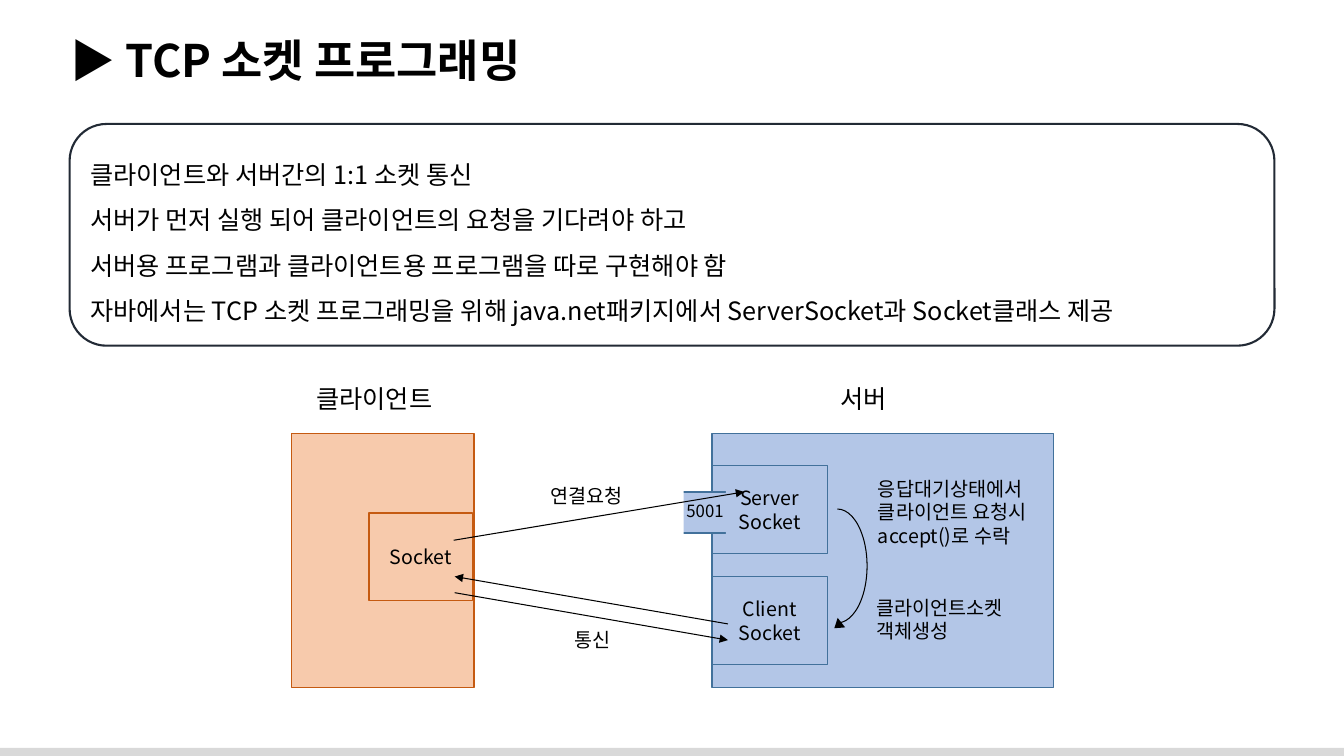
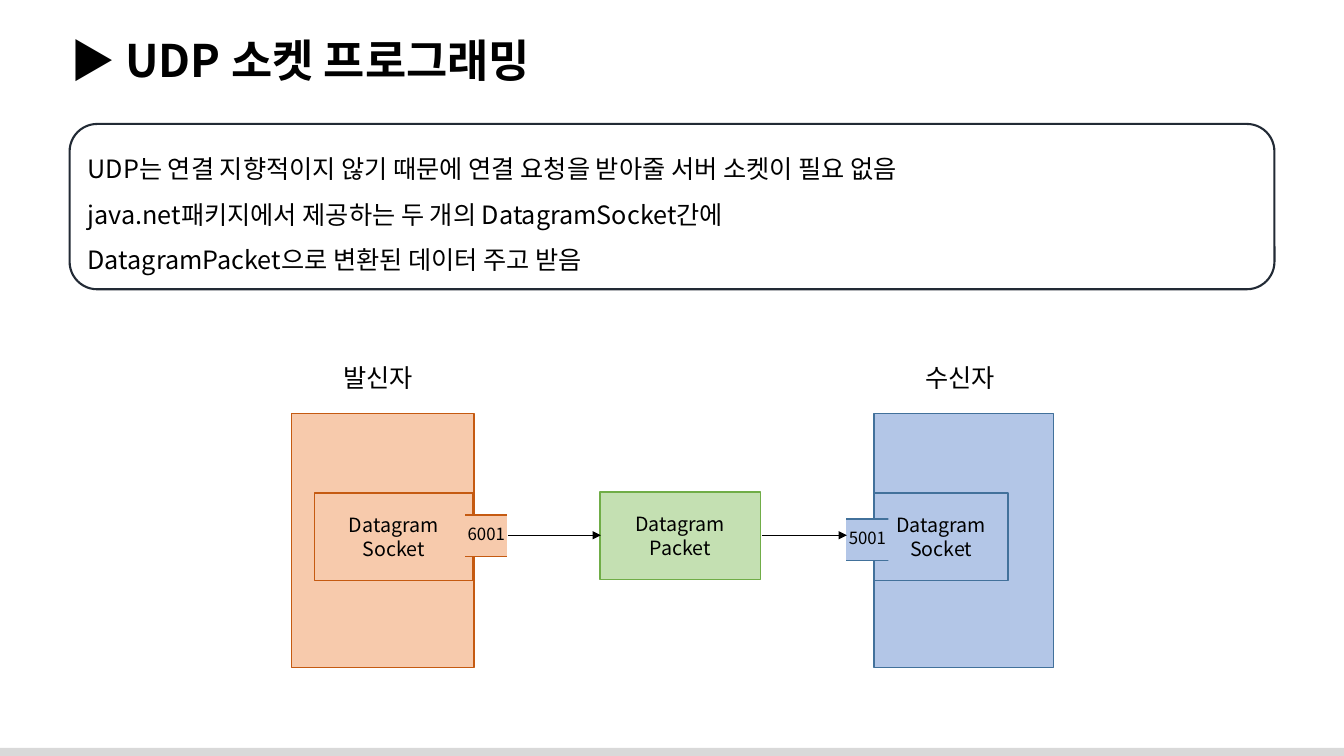
from lxml.etree import SubElement
from pptx import Presentation
from pptx.dml.color import RGBColor
from pptx.enum.shapes import MSO_CONNECTOR, MSO_SHAPE
from pptx.enum.text import MSO_ANCHOR, MSO_AUTO_SIZE, PP_ALIGN
from pptx.oxml.ns import qn
from pptx.util import Inches, Pt

FONT = "Noto Sans CJK KR"
BLACK, WHITE, GREY, NAVY = "000000", "FFFFFF", "D9D9D9", "222A35"
# Each theme is a fill and its outline
ORANGE = ("F7CAAC", "C55A11")
BLUE = ("B3C6E7", "42719B")
GREEN = ("C4E0B2", "70AD47")


def rgb(value):
    """Turn a hex string into a colour."""
    return RGBColor.from_string(value)


class Deck:
    """Shared style and the slide being drawn."""

    def __init__(self):
        """Start an empty widescreen presentation."""
        self.prs = Presentation()
        self.prs.slide_width = Inches(13.33)
        self.prs.slide_height = Inches(7.5)
        self.layout = self.prs.slide_layouts[6]
        self.s = None

    def slide(self, title):
        """Add a slide with its title; the first one sets up the layout."""
        first = self.s is None
        self.s = self.prs.slides.add_slide(self.layout)
        if first:
            self.footer_band()
        self.label(0.6, 0.28, 12.6, 0.64, "▶ " + title, 32, bold=True)

    def footer_band(self):
        """Put the grey bottom band on the layout for every slide."""
        band = self.shape(-0.03, 7.42, 13.39, 0.11, GREY).element
        band.xpath(".//p:cNvPr")[0].set("id", "100")
        self.layout.shapes.element.append(band)

    def set_text(self, tf, text, size, align=PP_ALIGN.LEFT, bold=False, spacing=None):
        """Fill a text frame, one paragraph per line of text."""
        tf.word_wrap = True
        tf.text = text
        for p in tf.paragraphs:
            p.alignment = align
            p.line_spacing = spacing
            for r in p.runs:
                r.font.name = FONT
                r.font.size = Pt(size)
                r.font.bold = bold
                r.font.color.rgb = rgb(BLACK)
                ea = SubElement(r.font._element, qn("a:ea"))
                ea.set("typeface", FONT)

    def shape(self, x, y, w, h, fill=None, line=None, weight=1,
              kind=MSO_SHAPE.RECTANGLE):
        """Draw a preset shape with an optional fill and outline."""
        sp = self.s.shapes.add_shape(kind, Inches(x), Inches(y), Inches(w), Inches(h))
        sp.shadow.inherit = False
        if fill:
            sp.fill.solid()
            sp.fill.fore_color.rgb = rgb(fill)
        else:
            sp.fill.background()
        if line:
            sp.line.color.rgb = rgb(line)
            sp.line.width = Pt(weight)
        else:
            sp.line.fill.background()
        return sp

    def label(self, x, y, w, h, text, size=14, bold=False):
        """Place free text."""
        sp = self.s.shapes.add_textbox(Inches(x), Inches(y), Inches(w), Inches(h))
        self.set_text(sp.text_frame, text, size, bold=bold)
        sp.text_frame.auto_size = MSO_AUTO_SIZE.SHAPE_TO_FIT_TEXT

    def summary(self, h, text):
        """Draw the rounded frame with the key points."""
        sp = self.shape(0.69, 1.23, 11.95, h, None, NAVY, 1.5,
                        MSO_SHAPE.ROUNDED_RECTANGLE)
        sp.text_frame.vertical_anchor = MSO_ANCHOR.MIDDLE
        self.set_text(sp.text_frame, text, 18, spacing=1.5)

    def box(self, x, y, w, theme, text="", h=0.87):
        """Draw a themed box with centred text."""
        sp = self.shape(x, y, w, h, *theme)
        sp.text_frame.vertical_anchor = MSO_ANCHOR.MIDDLE
        self.set_text(sp.text_frame, text, 14, PP_ALIGN.CENTER)

    def host(self, x, y, w, theme):
        """Draw the tall box of one machine."""
        self.box(x, y, w, theme, h=2.52)

    def port(self, x, y, number, theme, left, right):
        """Draw a port tab whose two sides are covered by the given fills."""
        self.shape(x, y, 0.49, 0.41, *theme)
        self.shape(x - 0.18, y - 0.07, 0.22, 0.55, left)
        self.shape(x + 0.46, y - 0.03, 0.09, 0.47, right)
        self.label(x - 0.03, y + 0.04, 0.59, 0.3, number, 12)

    def arrow(self, x1, y1, x2, y2, weight=0.75):
        """Draw a straight arrow."""
        line = self.s.shapes.add_connector(
            MSO_CONNECTOR.STRAIGHT, Inches(x1), Inches(y1), Inches(x2), Inches(y2))
        line.line.color.rgb = rgb(BLACK)
        line.line.width = Pt(weight)
        ln = line.element.spPr.find(qn("a:ln"))
        SubElement(ln, qn("a:tailEnd")).set("type", "triangle")
        SubElement(line.element.spPr, qn("a:effectLst"))

    def curved_arrow(self, x, y, w, h):
        """Draw a half-round arrow bulging right and ending bottom left."""
        arc = self.shape(x, y, w, h, None, BLACK, 0.75, MSO_SHAPE.ARC)
        arc.adjustments[1] = 53.1
        head = self.shape(x + 0.24, y + 1.11, 0.12, 0.09, BLACK,
                          kind=MSO_SHAPE.ISOSCELES_TRIANGLE)
        head.rotation = 231.8


def tcp_slide(deck):
    """Build the TCP slide."""
    deck.slide("TCP 소켓 프로그래밍")
    deck.summary(2.2, "클라이언트와 서버간의 1:1 소켓 통신\n"
                      "서버가 먼저 실행 되어 클라이언트의 요청을 기다려야 하고\n"
                      "서버용 프로그램과 클라이언트용 프로그램을 따로 구현해야 함\n"
                      "자바에서는 TCP 소켓 프로그래밍을 위해 java.net패키지에서 "
                      "ServerSocket과 Socket클래스 제공")
    deck.host(2.89, 4.3, 1.81, ORANGE)
    deck.host(7.06, 4.3, 3.39, BLUE)
    deck.label(3.04, 3.75, 1.47, 0.4, "클라이언트", 18)
    deck.label(8.24, 3.75, 0.71, 0.4, "서버", 18)
    deck.box(3.66, 5.09, 1.03, ORANGE, "Socket")
    deck.box(7.06, 5.72, 1.15, BLUE, "Client\nSocket")
    deck.box(7.06, 4.62, 1.15, BLUE, "Server\nSocket")
    deck.port(6.74, 4.88, "5001", BLUE, WHITE, BLUE[0])
    deck.arrow(4.5, 5.36, 7.38, 4.88)
    deck.arrow(7.22, 6.19, 4.51, 5.72)
    deck.arrow(4.51, 5.88, 7.22, 6.35)
    deck.label(5.36, 4.75, 0.99, 0.34, "연결요청")
    deck.label(5.6, 6.18, 0.6, 0.34, "통신")
    deck.curved_arrow(8.01, 5.05, 0.59, 1.13)
    deck.label(8.61, 4.68, 1.84, 0.81, "응답대기상태에서\n클라이언트 요청시\naccept()로 수락")
    deck.label(8.59, 5.86, 1.58, 0.57, "클라이언트소켓\n객체생성")


def udp_slide(deck):
    """Build the UDP slide."""
    deck.slide("UDP 소켓 프로그래밍")
    deck.summary(1.64, "UDP는 연결 지향적이지 않기 때문에 연결 요청을 받아줄 "
                       "서버 소켓이 필요 없음\n"
                       "java.net패키지에서 제공하는 두 개의 DatagramSocket간에\n"
                       "DatagramPacket으로 변환된 데이터 주고 받음")
    deck.host(2.89, 4.1, 1.81, ORANGE)
    deck.host(8.67, 4.1, 1.78, BLUE)
    deck.label(3.31, 3.55, 0.96, 0.4, "발신자", 18)
    deck.label(9.08, 3.55, 0.96, 0.4, "수신자", 18)
    deck.box(3.12, 4.89, 1.57, ORANGE, "Datagram\nSocket")
    deck.box(8.67, 4.89, 1.33, BLUE, "Datagram\nSocket")
    deck.port(8.35, 5.15, "5001", BLUE, WHITE, BLUE[0])
    deck.port(4.57, 5.11, "6001", ORANGE, ORANGE[0], WHITE)
    deck.box(5.95, 4.88, 1.59, GREEN, "Datagram\nPacket")
    deck.arrow(5.04, 5.31, 5.96, 5.31, 1)
    deck.arrow(7.56, 5.31, 8.4, 5.31, 1)


deck = Deck()
tcp_slide(deck)
udp_slide(deck)
deck.prs.save("out.pptx")
